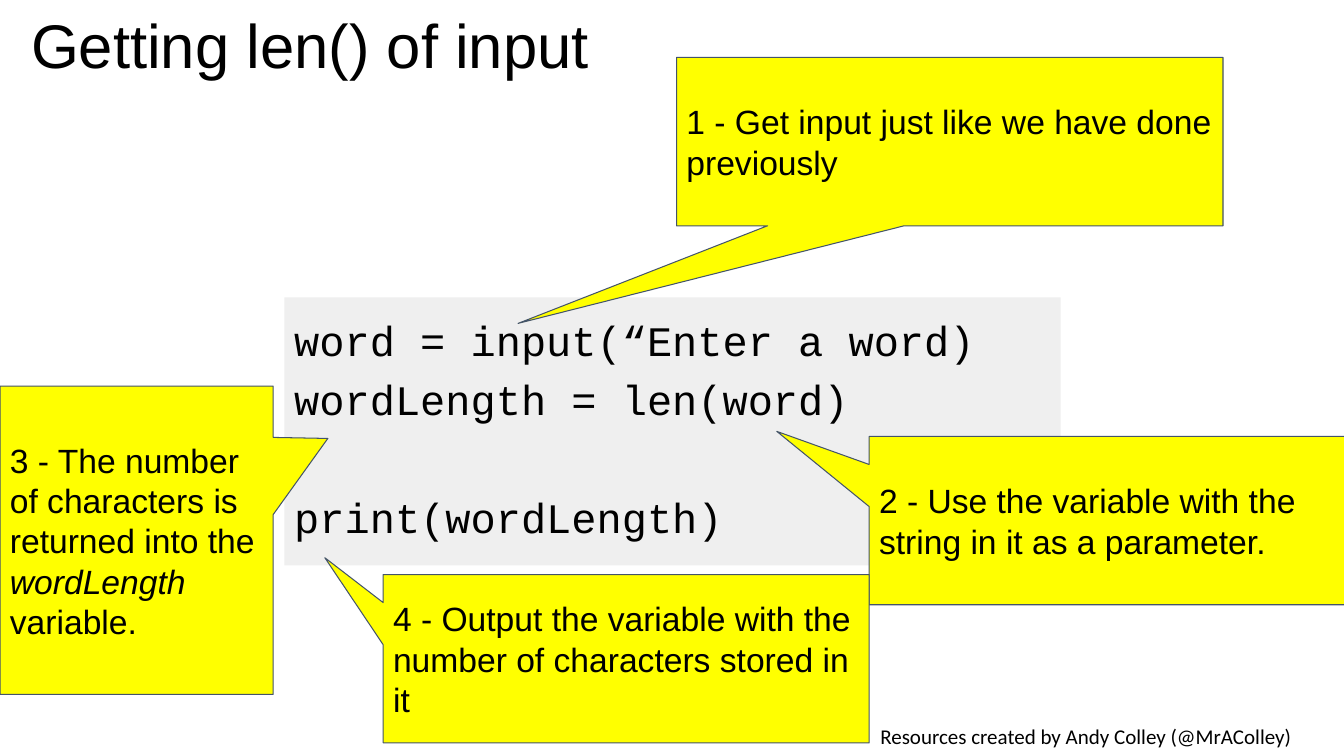
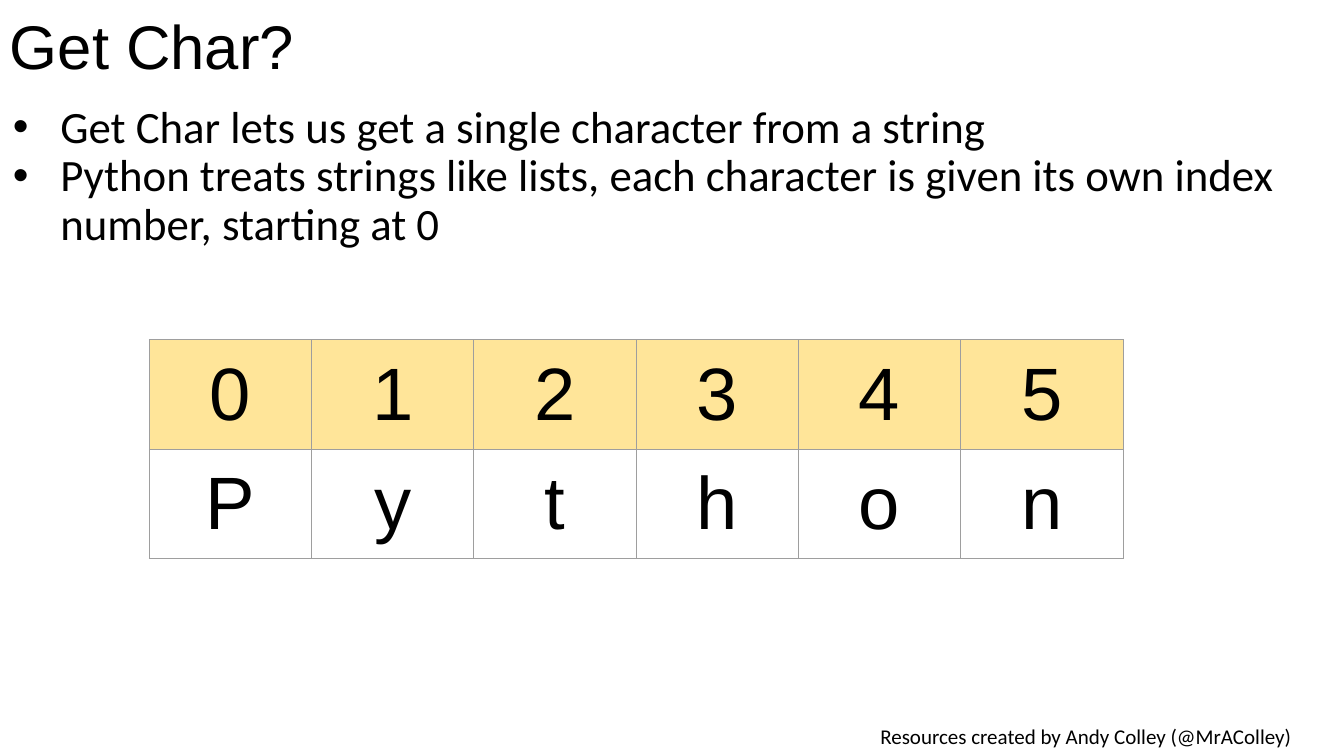
"""Build two lesson slides on string length and string indexes."""
import lxml.etree
import pptx
import pptx.dml.color
import pptx.enum.shapes
import pptx.enum.text
import pptx.oxml.ns
import pptx.util

RGB = pptx.dml.color.RGBColor
ANCHOR = pptx.enum.text.MSO_ANCHOR
ALIGN = pptx.enum.text.PP_ALIGN
SHAPE = pptx.enum.shapes.MSO_SHAPE

BLACK = RGB(0x00, 0x00, 0x00)
WHITE = RGB(0xFF, 0xFF, 0xFF)
YELLOW = RGB(0xFF, 0xFF, 0x00)
SLATE = RGB(0x44, 0x54, 0x6A)
CODE_GREY = RGB(0xEF, 0xEF, 0xEF)
INDEX_GOLD = RGB(0xFF, 0xE5, 0x99)
GRID_GREY = RGB(0x9E, 0x9E, 0x9E)

HEADING_FONT = "Arial"
BODY_FONT = "Calibri"
CODE_FONT = "Courier New"

EMU_PER_PX = 9144
PAGE_WIDTH, PAGE_HEIGHT = 1333, 750
FOOTER = "Resources created by Andy Colley (@MrAColley)"


def px(*lengths):
    return [pptx.util.Emu(length * EMU_PER_PX) for length in lengths]


def add_xml(parent, tag, **attributes):
    return lxml.etree.SubElement(parent, pptx.oxml.ns.qn(tag), attributes)


def write(para, text, *, font=HEADING_FONT, size=24, color=BLACK, italic=False,
          align=ALIGN.LEFT, line=None, before=0):
    para.alignment = align
    para.line_spacing = line
    para.space_before = pptx.util.Pt(before)
    span = para.add_run()
    span.text = text
    span.font.name = font
    span.font.size = pptx.util.Pt(size)
    span.font.color.rgb = color
    span.font.italic = italic


class Lesson:
    def __init__(self):
        self.deck = pptx.Presentation()
        self.deck.slide_width, self.deck.slide_height = px(PAGE_WIDTH, PAGE_HEIGHT)
        self.page = None

    def start_page(self, title, left, width, height):
        self.page = self.deck.slides.add_slide(self.deck.slide_layouts[6])
        self.page.background.fill.solid()
        self.page.background.fill.fore_color.rgb = WHITE
        footer = self.text_box(821, 710, 512, 40, margin=10)
        write(footer.paragraphs[0], FOOTER, font=BODY_FONT, size=15, align=ALIGN.CENTER)
        heading = self.text_box(left, 0, width, height)
        write(heading.paragraphs[0], title, size=44, line=0.9)

    def prepare_frame(self, box, anchor, margin):
        frame = box.text_frame
        frame.word_wrap = True
        frame.vertical_anchor = anchor
        frame.margin_left, frame.margin_right = px(10, 10)
        frame.margin_top, frame.margin_bottom = px(margin, margin)
        return frame

    def text_box(self, left, top, width, height, anchor=ANCHOR.MIDDLE, margin=5):
        box = self.page.shapes.add_textbox(*px(left, top, width, height))
        return self.prepare_frame(box, anchor, margin)

    def filled_shape(self, kind, place, fill, margin):
        box = self.page.shapes.add_shape(kind, *px(*place))
        box.shadow.inherit = False
        box.fill.solid()
        box.fill.fore_color.rgb = fill
        box.line.fill.background()
        return box, self.prepare_frame(box, ANCHOR.MIDDLE, margin)

    def code(self, place, lines):
        frame = self.filled_shape(SHAPE.RECTANGLE, place, CODE_GREY, 5)[1]
        for number, (text, before) in enumerate(lines):
            para = frame.add_paragraph() if number else frame.paragraphs[0]
            write(para, text, font=CODE_FONT, size=30, line=0.9, before=before)

    def callout(self, place, pointer, *spans):
        box, frame = self.filled_shape(
            SHAPE.ROUNDED_RECTANGULAR_CALLOUT, place, YELLOW, 10)
        for number, value in enumerate((*pointer, 0)):
            box.adjustments[number] = value
        box.line.color.rgb = SLATE
        box.line.width = pptx.util.Pt(0.75)
        for number, text in enumerate(spans):
            write(frame.paragraphs[0], text, italic=number % 2 == 1)

    def bullets(self, place, lines):
        frame = self.text_box(*place, anchor=ANCHOR.TOP)
        for number, text in enumerate(lines):
            para = frame.add_paragraph() if number else frame.paragraphs[0]
            write(para, text, font=BODY_FONT, size=32, line=0.9,
                  before=0 if number else 10)
            properties = para._p.get_or_add_pPr()
            indent, hanging = px(50, -47)
            properties.set("marL", str(indent))
            properties.set("indent", str(hanging))
            color = add_xml(properties, "a:buClr")
            add_xml(color, "a:srgbClr", val=str(BLACK))
            add_xml(properties, "a:buFont", typeface="Arial")
            add_xml(properties, "a:buChar", char="•")

    def table(self, left, top, column_width, row_height, rows, fills):
        columns = len(rows[0])
        grid = self.page.shapes.add_table(
            len(rows), columns,
            *px(left, top, column_width * columns, row_height * len(rows))).table
        grid.first_row = grid.horz_banding = False
        for row, (texts, fill) in enumerate(zip(rows, fills)):
            for column, text in enumerate(texts):
                self.style_cell(grid.cell(row, column), text, fill)

    def style_cell(self, cell, text, fill):
        cell.vertical_anchor = ANCHOR.MIDDLE
        cell.margin_left, cell.margin_right = px(10, 10)
        cell.margin_top, cell.margin_bottom = px(10, 10)
        properties = cell._tc.get_or_add_tcPr()
        for side in ("a:lnL", "a:lnR", "a:lnT", "a:lnB"):
            border = add_xml(properties, side, w=str(pptx.util.Pt(0.75)))
            add_xml(add_xml(border, "a:solidFill"), "a:srgbClr", val=str(GRID_GREY))
        cell.fill.solid()
        cell.fill.fore_color.rgb = fill
        write(cell.text_frame.paragraphs[0], text, size=53, align=ALIGN.CENTER)


def main():
    lesson = Lesson()

    lesson.start_page("Getting len() of input", 21, 1150, 96)
    lesson.code((282, 295, 770, 266), [
        ("word = input(“Enter a word)", 10),
        ("wordLength = len(word)", 10),
        ("print(wordLength)", 52),
    ])
    lesson.callout((862, 433, 482, 167), (-0.69, -0.53),
                   "2 - Use the variable with the string in it as a parameter.")
    lesson.callout((671, 57, 542, 167), (-0.79, 1.08),
                   "1 - Get input just like we have done previously")
    lesson.callout((0, 383, 271, 306), (0.7, -0.33),
                   "3 - The number of characters is returned into the ",
                   "wordLength ", "variable.")
    lesson.callout((380, 570, 482, 167), (-0.62, -0.6),
                   "4 - Output the variable with the number of characters stored in it")

    lesson.start_page("Get Char?", 0, 1197, 99)
    lesson.bullets((0, 99, 1333, 259), [
        "Get Char lets us get a single character from a string",
        "Python treats strings like lists, each character is given its own index "
        "number, starting at 0",
    ])
    lesson.table(148, 337, 161, 102, ["012345", "Python"], [INDEX_GOLD, WHITE])

    lesson.deck.save("out.pptx")


if __name__ == "__main__":
    main()
